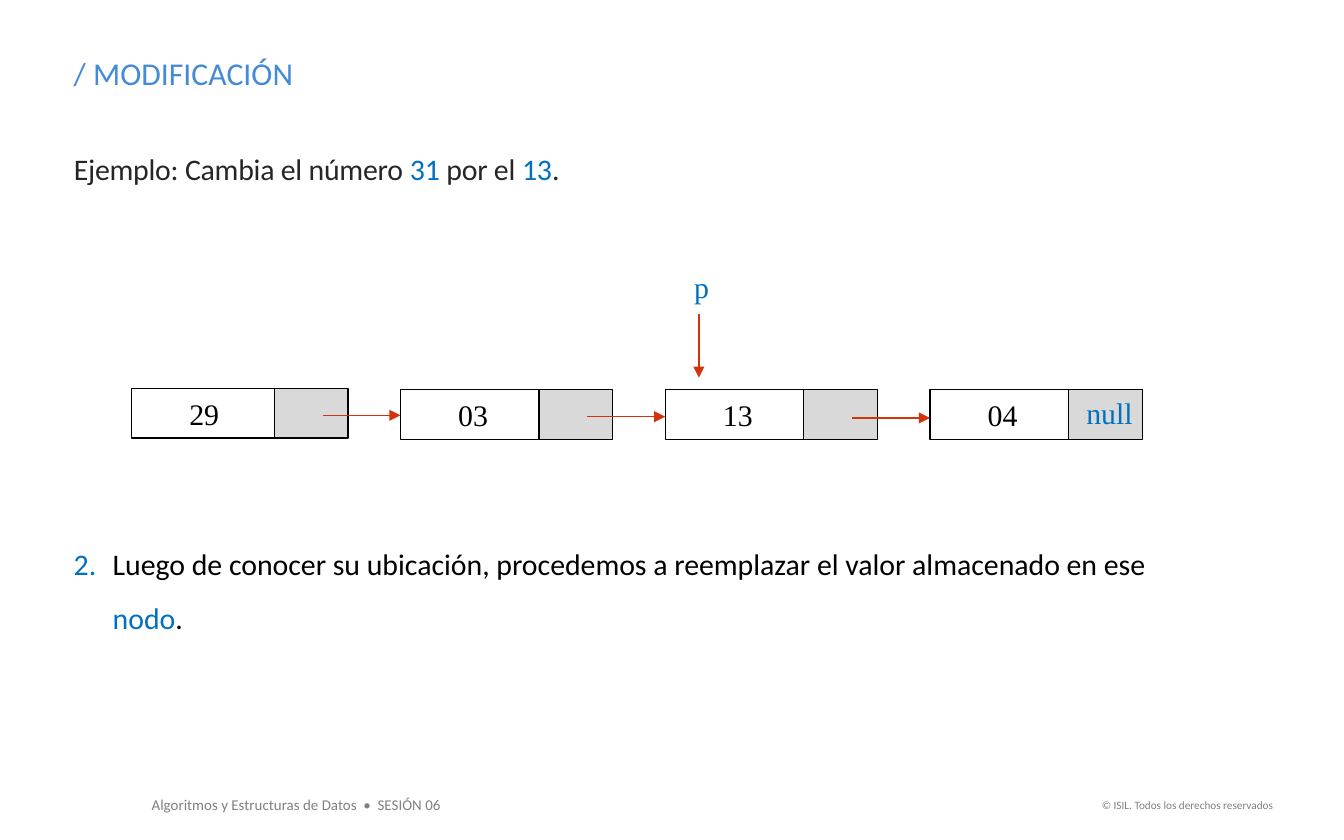
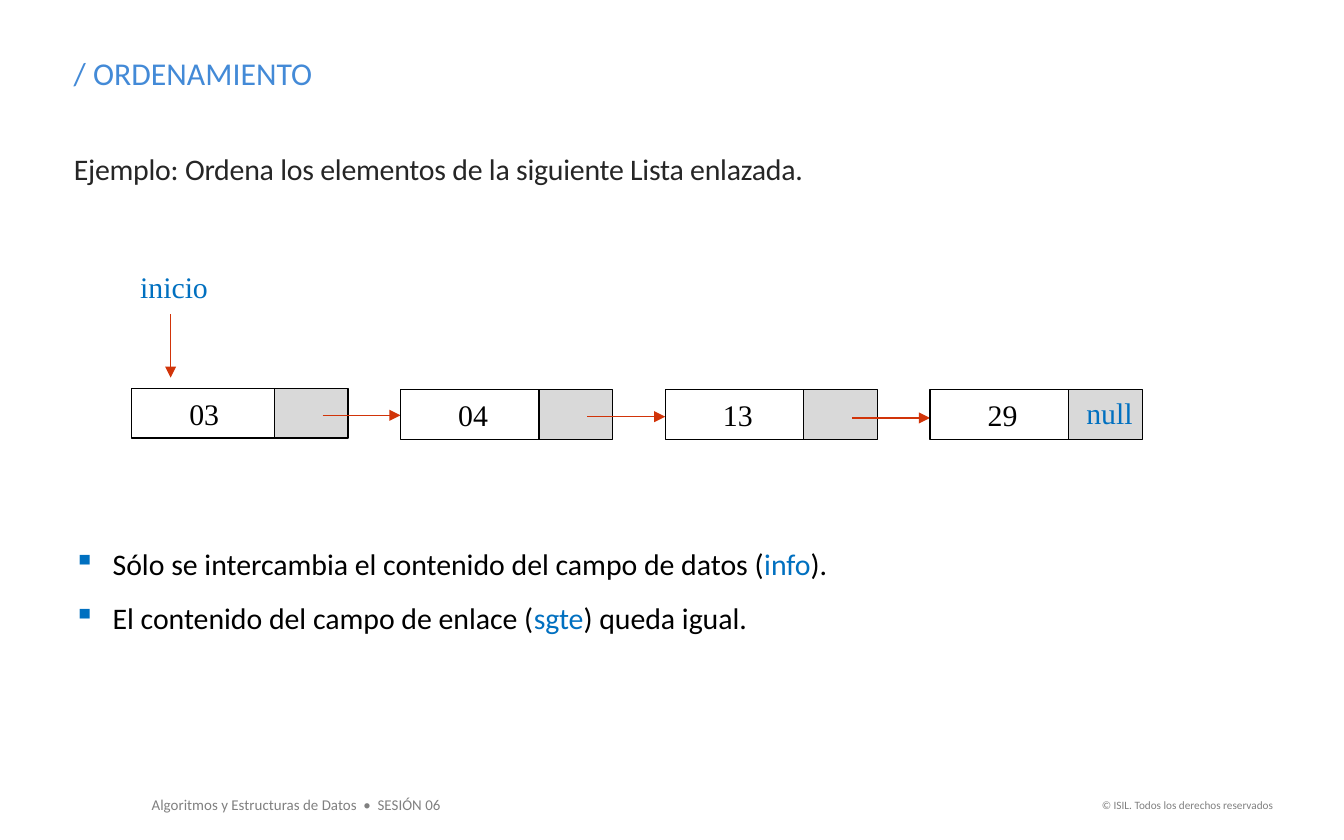
from lxml.etree import SubElement
from pptx import Presentation
from pptx.dml.color import RGBColor
from pptx.enum.shapes import MSO_CONNECTOR, MSO_SHAPE
from pptx.enum.text import MSO_ANCHOR, MSO_AUTO_SIZE, PP_ALIGN
from pptx.oxml.ns import qn
from pptx.util import Inches, Pt

COLORS = {
    "title": "438AD7",
    "accent": "0070C0",
    "intro": "262626",
    "text": "000000",
    "footer": "808080",
    "link": "D13409",
    "pointer": "D9D9D9",
}
SANS, SERIF = "Calibri", "Times New Roman"
BODY_SIZE = 16

ROW_H = 0.37
VALUE_W, POINTER_W = 1.08, 0.55
NODE_PITCH = 1.97
LIST_BOX = (0.98, 2.89, 7.51, ROW_H)


def rgb(name):
    return RGBColor.from_string(COLORS[name])


def add_runs(p, runs, font=SANS, size=BODY_SIZE, spacing=None):
    """Add (text, colour name) pairs to a paragraph."""
    for text, color in runs:
        r = p.add_run()
        r.text = text
        r.font.name, r.font.size = font, Pt(size)
        r.font.color.rgb = rgb(color)
        if spacing is not None:
            r.font._element.set("spc", str(spacing))


def add_text_frame(s, box, wrap=True):
    tf = s.shapes.add_textbox(*map(Inches, box)).text_frame
    tf.word_wrap = wrap
    tf.auto_size = MSO_AUTO_SIZE.SHAPE_TO_FIT_TEXT
    return tf


def add_title(s, box, text):
    p = add_text_frame(s, box).paragraphs[0]
    add_runs(p, [(text, "title")], size=17)


def add_footer(s, box):
    x, y, w, h = box
    course = add_text_frame(s, (x, y, 2.41, h), wrap=False).paragraphs[0]
    add_runs(course, [("Algoritmos y Estructuras de Datos  •  SESIÓN 06", "footer")], size=8)
    rights = add_text_frame(s, (x + w - 1.5, y + 0.02, 1.5, 0.2), wrap=False).paragraphs[0]
    rights.alignment = PP_ALIGN.RIGHT
    add_runs(rights, [("© ISIL. Todos los derechos reservados", "footer")], size=6)


def add_intro(s, box, runs):
    tf = add_text_frame(s, box)
    tf.margin_left = tf.margin_top = tf.margin_right = tf.margin_bottom = 0
    p = tf.paragraphs[0]
    pPr = p._p.get_or_add_pPr()
    pPr.set("marL", str(Inches(0.01)))
    tabs = SubElement(pPr, qn("a:tabLst"))
    SubElement(tabs, qn("a:tab"), pos=str(Inches(0.13)), algn="l")
    p.line_spacing = 1.5
    add_runs(p, runs, spacing=-10)


def add_bullet(p, bullet, **attrs):
    """Give a paragraph a hanging indent and a coloured bullet element."""
    pPr = p._p.get_or_add_pPr()
    pPr.set("marL", str(Inches(0.29)))
    pPr.set("indent", str(-Inches(0.29)))
    color = SubElement(pPr, qn("a:buClr"))
    SubElement(color, qn("a:srgbClr"), val=COLORS["accent"])
    SubElement(pPr, qn(bullet), **attrs)
    p.line_spacing = 1.5


def add_notes_list(s, box, items, bullet, **attrs):
    tf = add_text_frame(s, box)
    for i, runs in enumerate(items):
        p = tf.add_paragraph() if i else tf.paragraphs[0]
        add_bullet(p, bullet, **attrs)
        add_runs(p, runs)


def add_label(s, box, text):
    p = add_text_frame(s, box).paragraphs[0]
    p.alignment = PP_ALIGN.CENTER
    add_runs(p, [(text, "accent")], font=SERIF)


def add_cell(s, box, text=None, fill=None):
    sp = s.shapes.add_shape(MSO_SHAPE.RECTANGLE, *map(Inches, box))
    sp.shadow.inherit = False
    sp.line.color.rgb = rgb("text")
    sp.line.width = Pt(0.75)
    if fill:
        sp.fill.solid()
        sp.fill.fore_color.rgb = rgb(fill)
    else:
        sp.fill.background()
    if text:
        tf = sp.text_frame
        tf.word_wrap = True
        tf.vertical_anchor = MSO_ANCHOR.MIDDLE
        p = tf.paragraphs[0]
        p.alignment = PP_ALIGN.CENTER
        add_runs(p, [(text, "text")], font=SERIF)


def add_arrow(s, x1, y1, x2, y2):
    line = s.shapes.add_connector(MSO_CONNECTOR.STRAIGHT, *map(Inches, (x1, y1, x2, y2)))
    line.line.color.rgb = rgb("link")
    line.line.width = Pt(0.75)
    SubElement(line.line._get_or_add_ln(), qn("a:tailEnd"), type="triangle")
    SubElement(line._element.spPr, qn("a:effectLst"))


def add_linked_list(s, box, values):
    x, y, _, h = box
    last = len(values) - 1
    for i, value in enumerate(values):
        pointer_x = x + 1.06 + i * NODE_PITCH
        value_x = pointer_x - 1.03 if i else x
        top = y + 0.01 if i else y
        add_cell(s, (value_x, top, VALUE_W, h), text=value)
        add_cell(s, (pointer_x, top, POINTER_W, h), fill="pointer")
        if i < last:
            link_x, link_y = pointer_x + 0.36, y + 0.2 + i * 0.01
            add_arrow(s, link_x, link_y, link_x + 0.58, link_y)
        else:
            add_label(s, (pointer_x, y, 0.61, h), "null")


def add_reference(s, box, text, arrow_dx):
    """Name a node from above, with an arrow down to it."""
    x, y, _, _ = box
    add_label(s, box, text)
    add_arrow(s, x + arrow_dx, y + 0.39, x + arrow_dx, y + 0.86)


def add_base(prs, title, intro, values):
    s = prs.slides.add_slide(prs.slide_layouts[6])
    add_footer(s, (1.03, 5.87, 8.54, 0.24))
    add_title(s, (0.45, 0.35, 7.88, 0.39), title)
    add_linked_list(s, LIST_BOX, values)
    add_intro(s, (0.54, 0.99, 7.4, 0.4), intro)
    return s


def build_modification(prs):
    s = add_base(
        prs,
        "/ MODIFICACIÓN",
        [
            ("Ejemplo: Cambia el número ", "intro"),
            ("31", "accent"),
            (" por el ", "intro"),
            ("13", "accent"),
            (".", "intro"),
        ],
        ["29", "03", "13", "04"],
    )
    add_reference(s, (4.94, 1.95, 0.56, ROW_H), "p", 0.26)
    step = [
        ("Luego de conocer su ubicación, procedemos a reemplazar el valor almacenado en ese ", "text"),
        ("nodo", "accent"),
        (".", "text"),
    ]
    add_notes_list(s, (0.45, 3.88, 8.45, 0.91), [step],
                   "a:buAutoNum", type="arabicPeriod", startAt="2")


def build_sorting(prs):
    s = add_base(
        prs,
        "/ ORDENAMIENTO",
        [("Ejemplo: Ordena los elementos de la siguiente Lista enlazada.", "intro")],
        ["03", "04", "13", "29"],
    )
    add_reference(s, (0.87, 1.95, 0.85, ROW_H), "inicio", 0.4)
    notes = [
        [
            ("Sólo se intercambia el contenido del campo de datos (", "text"),
            ("info", "accent"),
            (").", "text"),
        ],
        [
            ("El contenido del campo de enlace (", "text"),
            ("sgte", "accent"),
            (") queda igual.", "text"),
        ],
    ]
    add_notes_list(s, (0.45, 3.88, 8.04, 0.91), notes, "a:buChar", char="▪")


def main():
    prs = Presentation()
    prs.slide_width, prs.slide_height = Inches(10), Inches(6.25)
    build_modification(prs)
    build_sorting(prs)
    prs.save("out.pptx")


if __name__ == "__main__":
    main()
